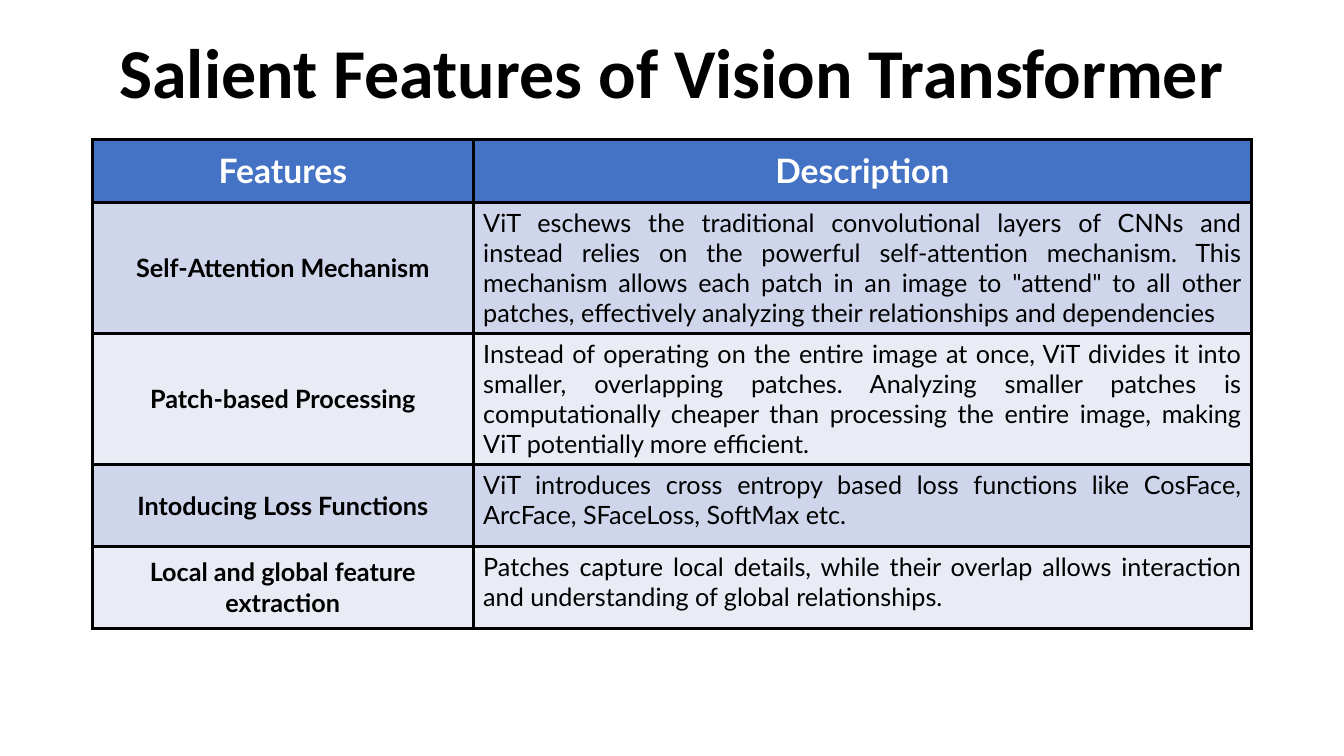
from pptx import Presentation
from pptx.dml.color import RGBColor
from pptx.enum.text import MSO_ANCHOR as Anchor, PP_ALIGN as Align
from pptx.oxml import parse_xml
from pptx.util import Pt

NS = "http://schemas.openxmlformats.org/drawingml/2006/main"
BLACK, WHITE = "000000", "FFFFFF"
HEAD, BANDS = "4472C4", ("CFD5EA", "E9EBF5")
TITLE = "Salient Features of Vision Transformer"
ROWS = [
    ("Features", "Description"),
    ("Self-Attention Mechanism",
     "ViT eschews the traditional convolutional layers of CNNs and instead "
     "relies on the powerful self-attention mechanism. This mechanism allows "
     "each patch in an image to \"attend\" to all other patches, effectively "
     "analyzing their relationships and dependencies"),
    ("Patch-based Processing",
     "Instead of operating on the entire image at once, ViT divides it into "
     "smaller, overlapping patches. Analyzing smaller patches is "
     "computationally cheaper than processing the entire image, making ViT "
     "potentially more efficient."),
    ("Intoducing Loss Functions",
     "ViT introduces cross entropy based loss functions like CosFace, "
     "ArcFace, SFaceLoss, SoftMax etc."),
    ("Local and global feature extraction",
     "Patches capture local details, while their overlap allows interaction "
     "and understanding of global relationships."),
]


def color(code):
    return RGBColor.from_string(code)


def write(frame, text, face, size, tint, bold, align):
    para = frame.paragraphs[0]
    para.text = text
    para.alignment = align
    font = para.font
    font.name, font.size, font.bold = face, Pt(size), bold
    font.color.rgb = color(tint)
    return para


def border(cell, width):
    props = cell._tc.get_or_add_tcPr()
    for spot, side in enumerate(("lnL", "lnR", "lnT", "lnB")):
        props.insert(spot, parse_xml(
            f'<a:{side} xmlns:a="{NS}" w="{Pt(width)}"><a:solidFill>'
            f'<a:srgbClr val="{BLACK}"/></a:solidFill></a:{side}>'))


def add_title(slide, left, top, width, height):
    box = slide.shapes.add_textbox(Pt(left), Pt(top), Pt(width), Pt(height))
    frame = box.text_frame
    frame.word_wrap = True
    frame.vertical_anchor = Anchor.MIDDLE
    para = write(frame, TITLE, "Calibri", 50, BLACK, True, Align.CENTER)
    para.line_spacing = 0.9


def add_grid(slide, left, top, width, head, row, split):
    high = head + row * (len(ROWS) - 1)
    table = slide.shapes.add_table(
        len(ROWS), 2, Pt(left), Pt(top), Pt(width), Pt(high)).table
    for col, size in zip(table.columns, (split, width - split)):
        col.width = Pt(size)
    for r, texts in enumerate(ROWS):
        table.rows[r].height = Pt(row if r else head)
        for c, text in enumerate(texts):
            cell = table.cell(r, c)
            label = r == 0 or c == 0
            cell.fill.solid()
            cell.fill.fore_color.rgb = color(BANDS[(r - 1) % 2] if r else HEAD)
            cell.vertical_anchor = Anchor.MIDDLE if label else Anchor.TOP
            write(cell.text_frame, text, "Lato", 18 if r else 24,
                  BLACK if r else WHITE, label,
                  Align.CENTER if label else Align.JUSTIFY)
            border(cell, 2.25)


def main():
    deck = Presentation()
    deck.slide_width, deck.slide_height = Pt(960), Pt(540)
    slide = deck.slides.add_slide(deck.slide_layouts[6])
    left, width = 66, 828
    add_title(slide, left, 24.5, width, 59)
    add_grid(slide, left, 99.5, width, head=45, row=58.5, split=272)
    deck.save("out.pptx")


if __name__ == "__main__":
    main()
